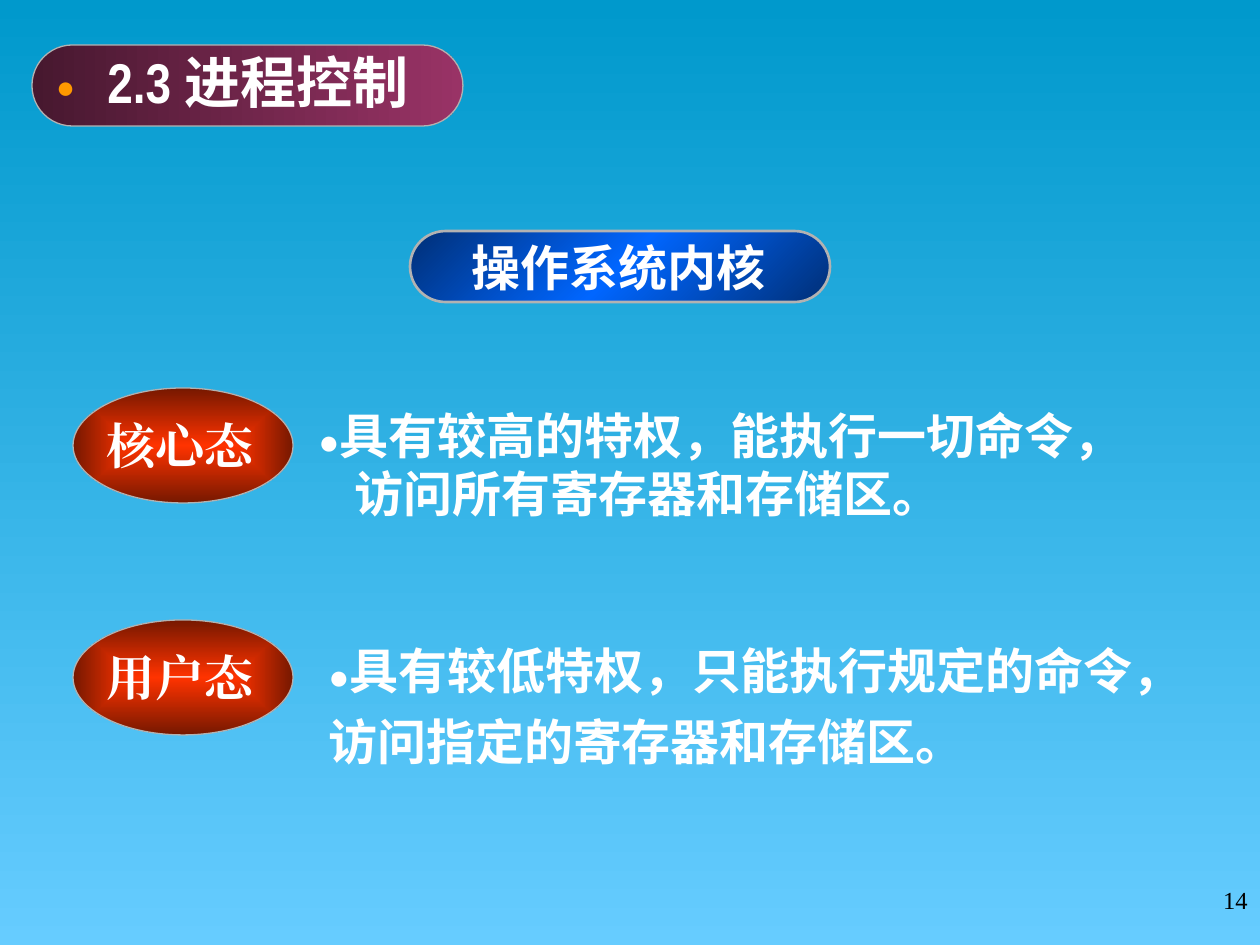
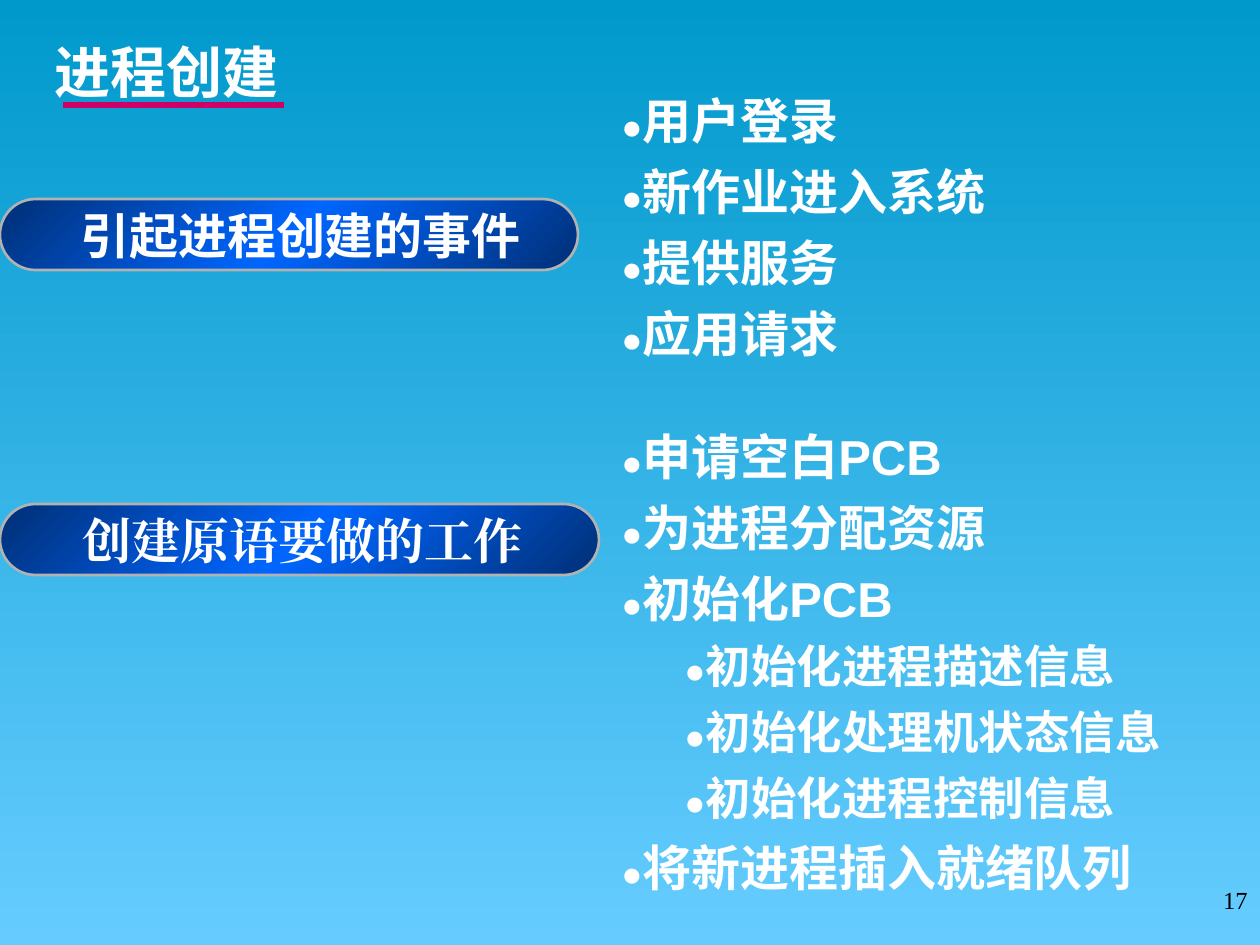
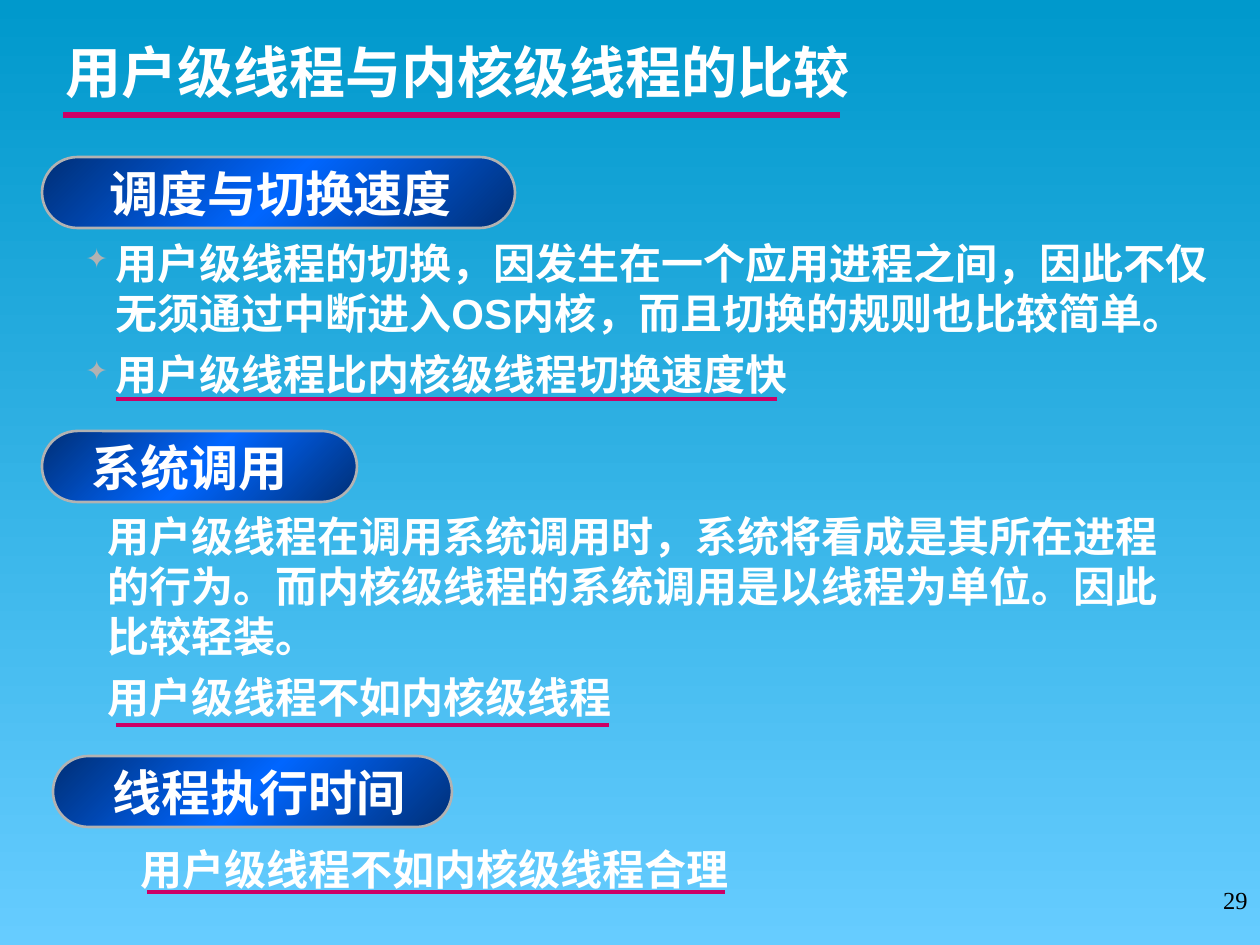
from lxml import etree
from pptx import Presentation
from pptx.dml.color import RGBColor
from pptx.enum.shapes import MSO_CONNECTOR, MSO_SHAPE
from pptx.enum.text import MSO_ANCHOR, PP_ALIGN
from pptx.oxml import parse_xml
from pptx.oxml.ns import nsdecls, qn
from pptx.util import Pt

PILL, OVAL = MSO_SHAPE.ROUNDED_RECTANGLE, MSO_SHAPE.OVAL
STRAIGHT = MSO_CONNECTOR.STRAIGHT
TOP, MIDDLE = MSO_ANCHOR.TOP, MSO_ANCHOR.MIDDLE
LEFT, RIGHT = PP_ALIGN.LEFT, PP_ALIGN.RIGHT

PX = 914400 / 126
COLORS = {
    "sky": "0099CC", "pale": "66CCFF", "white": "FFFFFF", "black": "000000",
    "plum_dark": "47182F", "plum": "993366", "navy": "002F76", "blue": "0066FF",
    "red": "FF3300", "maroon": "761800", "orange": "FF9900",
    "silver": "B2B2B2", "crimson": "CC0066",
}
SANS, SERIF, TITLE_FONT, LABEL_FONT = "Arial", "Times New Roman", "Arial Narrow", "Karla"
DOT = "●"
LEADING = 1.2


def px(n):
    return round(n * PX)


def rgb(name):
    return RGBColor.from_string(COLORS[name])


def set_gradient(fill, element, names, angle=None):
    fill.gradient()
    grad = element.find(".//" + qn("a:gradFill"))
    step = 100000 // (len(names) - 1)
    stops = "".join(
        f'<a:gs pos="{i * step}"><a:srgbClr val="{COLORS[name]}"/></a:gs>'
        for i, name in enumerate(names))
    if angle is None:
        shade = ('<a:path path="rect"><a:fillToRect l="50000" t="50000" '
                 'r="50000" b="50000"/></a:path>')
    else:
        shade = f'<a:lin ang="{angle * 60000}" scaled="0"/>'
    new = parse_xml(f'<a:gradFill {nsdecls("a")} rotWithShape="1">'
                    f'<a:gsLst>{stops}</a:gsLst>{shade}</a:gradFill>')
    grad.getparent().replace(grad, new)


class Deck:
    def __init__(self):
        self.prs = Presentation()
        self.prs.slide_width, self.prs.slide_height = px(1260), px(945)
        master = self.prs.slide_master
        set_gradient(master.background.fill, master.element, ["sky", "pale"], 90)
        self.s = None

    def slide(self, number):
        self.s = self.prs.slides.add_slide(self.prs.slide_layouts[6])
        self.text(966, 879, 294, 66, [str(number)], 14, SERIF, "black", False, align=RIGHT)

    def format_run(self, r, size, font, color, bold):
        r.font.size, r.font.name, r.font.bold = Pt(size), font, bold
        r.font.color.rgb = rgb(color)
        etree.SubElement(r._r.get_or_add_rPr(), qn("a:ea")).set("typeface", font)

    def indent(self, p, left, hanging):
        pPr = p._p.get_or_add_pPr()
        pPr.set("marL", str(px(left)))
        pPr.set("indent", str(px(-hanging)))

    def star(self, p):
        self.indent(p, 30, 30)
        pPr = p._p.get_or_add_pPr()
        color = etree.SubElement(pPr, qn("a:buClr"))
        etree.SubElement(color, qn("a:srgbClr")).set("val", COLORS["silver"])
        etree.SubElement(pPr, qn("a:buSzPct")).set("val", "65000")
        etree.SubElement(pPr, qn("a:buChar")).set("char", "✦")

    def text(self, x, y, w, h, lines, size, font=SANS, color="white", bold=True,
             align=LEFT, anchor=TOP, spacing=None, stars=False, parent=None):
        sp = (parent or self.s).shapes.add_textbox(px(x), px(y), px(w), px(h))
        tf = sp.text_frame
        tf.word_wrap, tf.vertical_anchor = True, anchor
        tf.text = "\n".join(line.removeprefix(DOT) for line in lines)
        for i, (p, line) in enumerate(zip(tf.paragraphs, lines)):
            if stars:
                self.star(p)
            p.alignment = align
            p.line_spacing = spacing or Pt(size * LEADING)
            if i:
                p.space_before = Pt(size / 4)
            self.format_run(p.runs[0], size, font, color, bold)
            if line.startswith(DOT):
                body = p.runs[0]
                r = p.add_run()
                r.text = DOT
                self.format_run(r, 20, SERIF, color, bold)
                body._r.addprevious(r._r)
        return tf

    def dotted(self, x, y, w, h, lines, sub=(), hanging=48):
        tf = self.text(x, y, w, h, lines, 28)
        for i, p in enumerate(tf.paragraphs):
            self.indent(p, 48, hanging)
            if i in sub:
                p.level = 1
                self.indent(p, 102, 39)
                p.line_spacing, p.space_before = Pt(26 * LEADING), Pt(6.5)
                p.runs[1].font.size = Pt(26)

    def title(self, x, y, w, words):
        self.text(x, y, w, 158, [words], 32, TITLE_FONT, anchor=MIDDLE, spacing=0.7)

    def shape(self, kind, x, y, w, h, names, angle, line_width, parent=None):
        sp = (parent or self.s).shapes.add_shape(kind, px(x), px(y), px(w), px(h))
        sp.shadow.inherit = False
        if kind == PILL:
            sp.adjustments[0] = 0.5
        set_gradient(sp.fill, sp._element, names, angle)
        sp.line.color.rgb, sp.line.width = rgb("silver"), Pt(line_width)
        return sp

    def pill(self, x, y, w, text_x, text_w, words, font=LABEL_FONT):
        group = self.s.shapes.add_group_shape()
        self.shape(PILL, x, y, w, 71, ["navy", "blue", "navy"], 45, 1.5, group)
        self.text(text_x, y, text_w, 72, [words], 28, font, parent=group)

    def oval(self, x, y, words):
        group = self.s.shapes.add_group_shape()
        self.shape(OVAL, x, y, 220, 115, ["red", "maroon"], None, 0.75, group)
        self.text(x + 21, y + 21, 189, 72, [words], 28, SERIF, parent=group)

    def section_badge(self, x, y, w, h):
        sp = self.shape(PILL, x, y, w, h, ["plum_dark", "plum"], 0, 0.75)
        tf = sp.text_frame
        tf.vertical_anchor = MIDDLE
        tf.text = DOT
        p = tf.paragraphs[0]
        p.alignment = LEFT
        self.format_run(p.runs[0], 18, SERIF, "orange", False)

    def underline(self, x, y, end_x, width=2.25):
        line = self.s.shapes.add_connector(STRAIGHT, px(x), px(y), px(end_x), px(y))
        line.line.color.rgb, line.line.width = rgb("crimson"), Pt(width)
        etree.SubElement(line._element.spPr, qn("a:effectLst"))


def kernel_slide(deck):
    deck.slide(14)
    deck.dotted(294, 399, 829, 136,
                ["●具有较高的特权，能执行一切命令，访问所有寄存器和存储区。"], hanging=36)
    deck.section_badge(32, 45, 431, 81)
    deck.pill(410, 231, 420, 459, 347, "操作系统内核")
    deck.title(95, 10, 451, "2.3 进程控制")
    for y, mode in [(388, "核心态"), (620, "用户态")]:
        deck.oval(73, y, mode)
    deck.text(316, 634, 900, 202,
              ["●具有较低特权，只能执行规定的命令，", "访问指定的寄存器和存储区。"], 28)


def creation_slide(deck):
    deck.slide(17)
    deck.dotted(609, 84, 441, 305, ["●用户登录", "●新作业进入系统", "●提供服务", "●应用请求"])
    deck.title(42, 0, 840, "进程创建")
    deck.underline(63, 105, 284, 3)
    deck.pill(0, 199, 578, 68, 476, "引起进程创建的事件")
    deck.pill(0, 504, 599, 70, 493, "创建原语要做的工作", SERIF)
    deck.dotted(609, 420, 599, 525, [
        "●申请空白PCB", "●为进程分配资源", "●初始化PCB", "●初始化进程描述信息",
        "●初始化处理机状态信息", "●初始化进程控制信息", "●将新进程插入就绪队列",
    ], sub=(3, 4, 5))


def thread_slide(deck):
    deck.slide(29)
    deck.pill(42, 157, 473, 97, 389, "调度与切换速度")
    deck.title(53, 0, 872, "用户级线程与内核级线程的比较")
    deck.underline(63, 115, 840, 3)
    deck.pill(42, 431, 315, 79, 260, "系统调用")
    deck.pill(53, 756, 399, 100, 329, "线程执行时间")
    deck.text(73, 231, 1149, 175, [
        "用户级线程的切换，因发生在一个应用进程之间，因此不仅无须通过中断进入OS内核，"
        "而且切换的规则也比较简单。",
        "用户级线程比内核级线程切换速度快",
    ], 24, stars=True)
    deck.text(95, 504, 1103, 226, [
        "用户级线程在调用系统调用时，系统将看成是其所在进程的行为。"
        "而内核级线程的系统调用是以线程为单位。因此比较轻装。",
        "用户级线程不如内核级线程",
    ], 24)
    deck.text(128, 837, 620, 63, ["用户级线程不如内核级线程合理"], 24)
    for x, y, end_x in [(116, 399, 777), (116, 725, 609), (147, 892, 725)]:
        deck.underline(x, y, end_x)


def main():
    deck = Deck()
    for build in (kernel_slide, creation_slide, thread_slide):
        build(deck)
    deck.prs.save("out.pptx")


if __name__ == "__main__":
    main()
